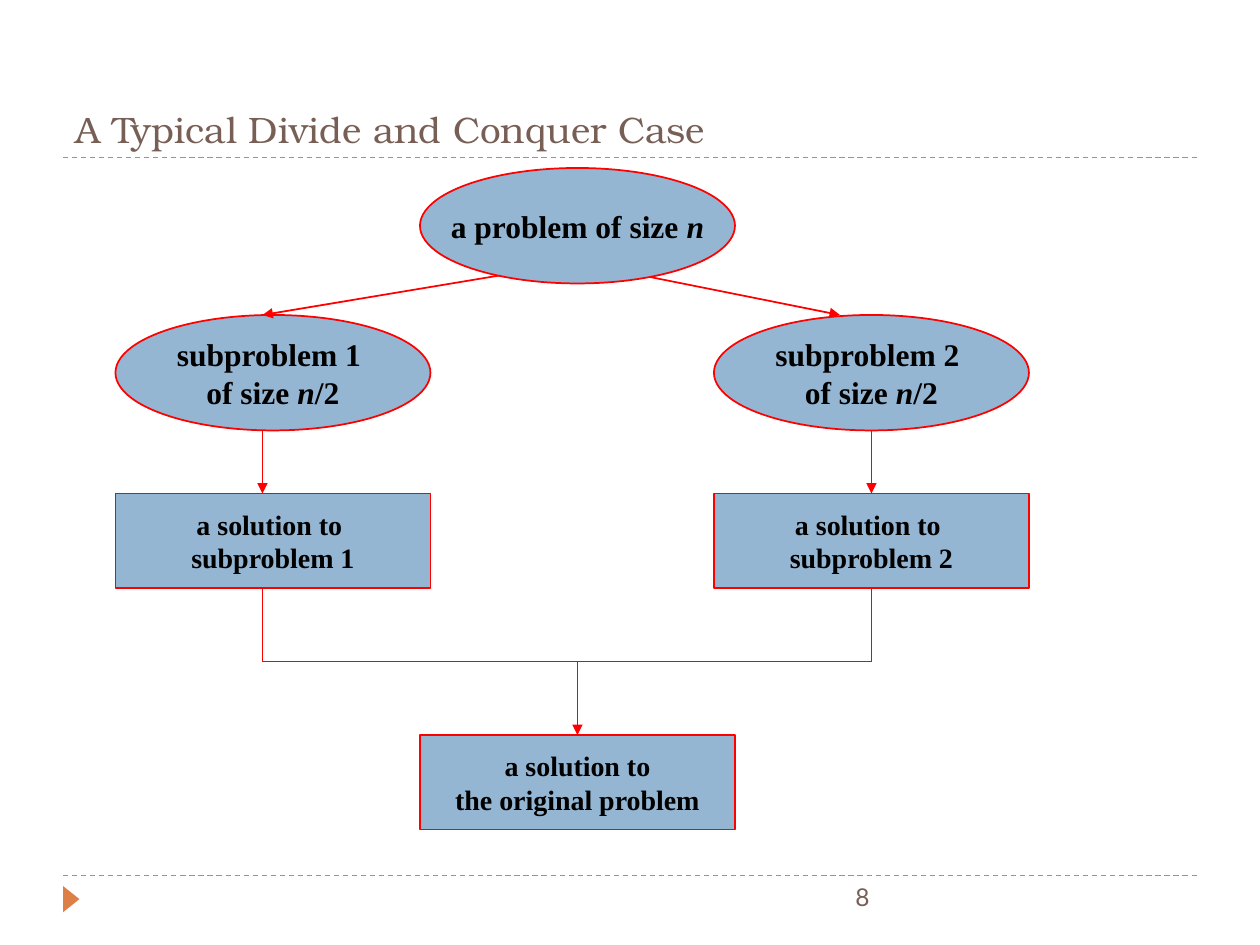
from pptx import Presentation
from pptx.dml.color import RGBColor
from pptx.enum.dml import MSO_LINE_DASH_STYLE as DASH
from pptx.enum.shapes import MSO_CONNECTOR, MSO_SHAPE as SHAPE
from pptx.enum.text import MSO_ANCHOR as ANCHOR, PP_ALIGN as ALIGN
from pptx.oxml.ns import qn
from pptx.util import Pt
from lxml import etree

RED, BLUE, ORANGE, BROWN, BLACK = "FF0000", "94B6D2", "DD8047", "775F55", "000000"


def color(value):
    return RGBColor.from_string(value)


def write(tf, lines, fmt, ink, align=ALIGN.LEFT):
    """Fill a text frame; text between asterisks is italic."""
    for i, line in enumerate(lines):
        p = tf.paragraphs[0] if i == 0 else tf.add_paragraph()
        p.alignment = align
        for j, part in enumerate(line.split("*")):
            if not part:
                continue
            r = p.add_run()
            r.text = part
            r.font.color.rgb = color(ink)
            for name, value in fmt.items():
                setattr(r.font, name, value)
            if j % 2:
                r.font.italic = True


def add_text(s, box, text, fmt, align=ALIGN.LEFT, anchor=ANCHOR.TOP):
    tf = s.shapes.add_textbox(*map(Pt, box)).text_frame
    tf.word_wrap, tf.vertical_anchor = True, anchor
    write(tf, [text], fmt, BROWN, align)


def add_line(s, start, end, ink=RED, width=1, dash=None, arrow=False):
    c = s.shapes.add_connector(MSO_CONNECTOR.STRAIGHT, *map(Pt, (*start, *end)))
    c.line.color.rgb, c.line.width = color(ink), Pt(width)
    if dash:
        c.line.dash_style = dash
    if arrow:
        etree.SubElement(c.line._get_or_add_ln(), qn("a:tailEnd"), type="triangle")
    etree.SubElement(c._element.spPr, qn("a:effectLst"))


def add_shape(s, kind, box, fill):
    sp = s.shapes.add_shape(kind, *map(Pt, box))
    sp.shadow.inherit = False
    sp.fill.solid()
    sp.fill.fore_color.rgb = color(fill)
    sp.line.fill.background()
    return sp


def add_node(s, kind, box, lines, size):
    sp = add_shape(s, kind, box, BLUE)
    sp.line.color.rgb, sp.line.width = color(RED), Pt(1)
    tf = sp.text_frame
    tf.word_wrap, tf.vertical_anchor = False, ANCHOR.MIDDLE
    fmt = {"name": "Times New Roman", "size": Pt(size), "bold": True}
    write(tf, lines, fmt, BLACK, ALIGN.CENTER)


def add_header(s, x, y, w, h):
    add_line(s, (x, y + h), (x + w, y + h), ORANGE, 0.75, DASH.DASH)
    add_text(s, (x, y, w, h), "A Typical Divide and Conquer Case",
             {"name": "TeX Gyre Bonum", "size": Pt(21)}, anchor=ANCHOR.BOTTOM)


def add_footer(s, x, y, w, h):
    add_line(s, (x, y), (x + w, y), ORANGE, 0.75, DASH.DASH)
    marker = add_shape(s, SHAPE.ISOSCELES_TRIANGLE, (x - 2.8, y + 8.7, 15, 9.4), ORANGE)
    marker.rotation = 90
    add_text(s, (x + 192, y, 276, h), "8", {"name": "Lato", "size": Pt(14)}, ALIGN.RIGHT)


def add_diagram(s, x, y, w, h):
    node_w, oval_h, rect_h = 180, 66, 54
    sub_y, solution_y, join_y = y + 84, y + 186, y + 282
    final_y = y + h - rect_h
    root_x = x + (w - node_w) / 2 + 3
    middle = root_x + node_w / 2
    trunks = (x + 84, x + w - node_w / 2)

    # Two branches: subproblem, its solution, and the way down to the join
    branches = zip((1, 2), (x, x + w - node_w), trunks, (-36, 30), (-180, 150))
    for n, left, trunk, start, end in branches:
        add_node(s, SHAPE.OVAL, (left, sub_y, node_w, oval_h),
                 [f"subproblem {n} ", "of size *n*/2"], 18)
        add_node(s, SHAPE.RECTANGLE, (left, solution_y, node_w, rect_h),
                 ["a solution to ", f"subproblem {n}"], 16)
        add_line(s, (middle + start, y + 60), (middle + end, sub_y), arrow=True)
        add_line(s, (trunk, sub_y + oval_h), (trunk, solution_y), arrow=True)
        add_line(s, (trunk, solution_y + rect_h), (trunk, join_y))

    # Root problem, over the ends of its arrows
    add_node(s, SHAPE.OVAL, (root_x, y, node_w, oval_h), ["a problem of size *n*"], 18)

    # Join and final solution
    add_line(s, (trunks[0], join_y), (trunks[1], join_y))
    add_node(s, SHAPE.RECTANGLE, (root_x, final_y, node_w, rect_h),
             ["a solution to", "the original problem"], 16)
    add_line(s, (middle, join_y), (middle, final_y), arrow=True)


def main():
    prs = Presentation()
    prs.slide_width, prs.slide_height = Pt(720), Pt(540)
    s = prs.slides.add_slide(prs.slide_layouts[6])
    add_header(s, 36, 12, 648, 78)
    add_footer(s, 36, 500.4, 648, 28.8)
    add_diagram(s, 66, 96, 522, 378)
    prs.save("out.pptx")


if __name__ == "__main__":
    main()
